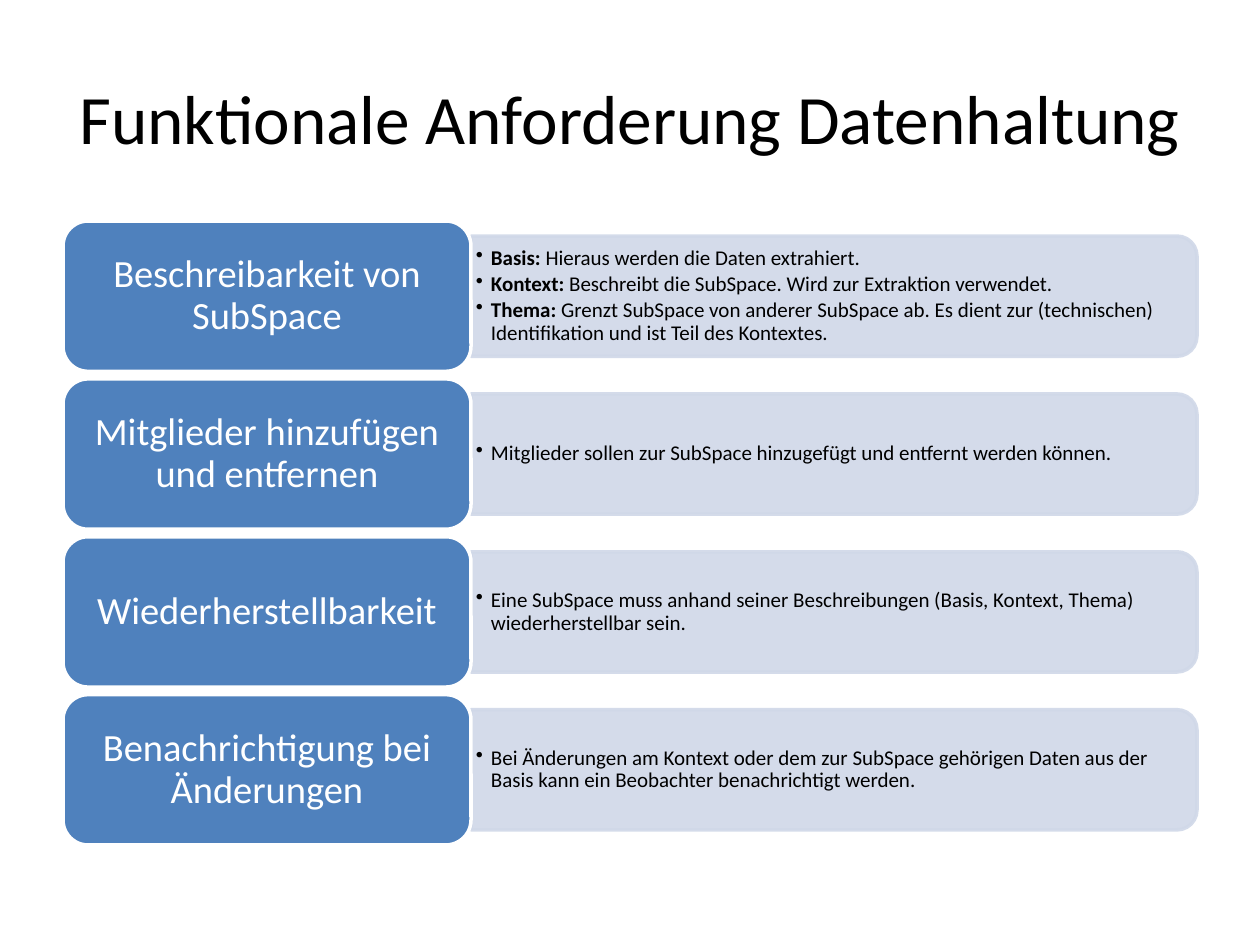
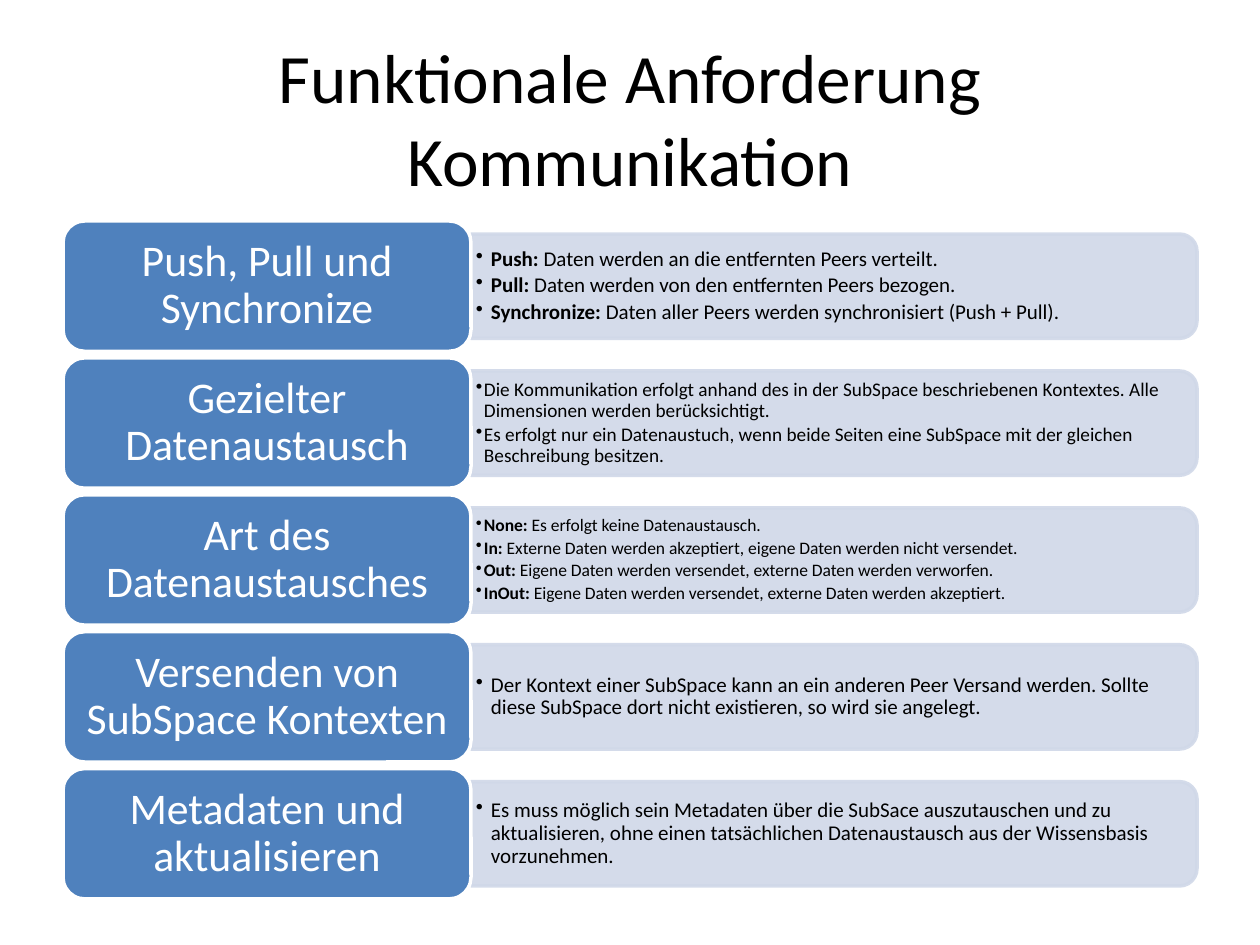
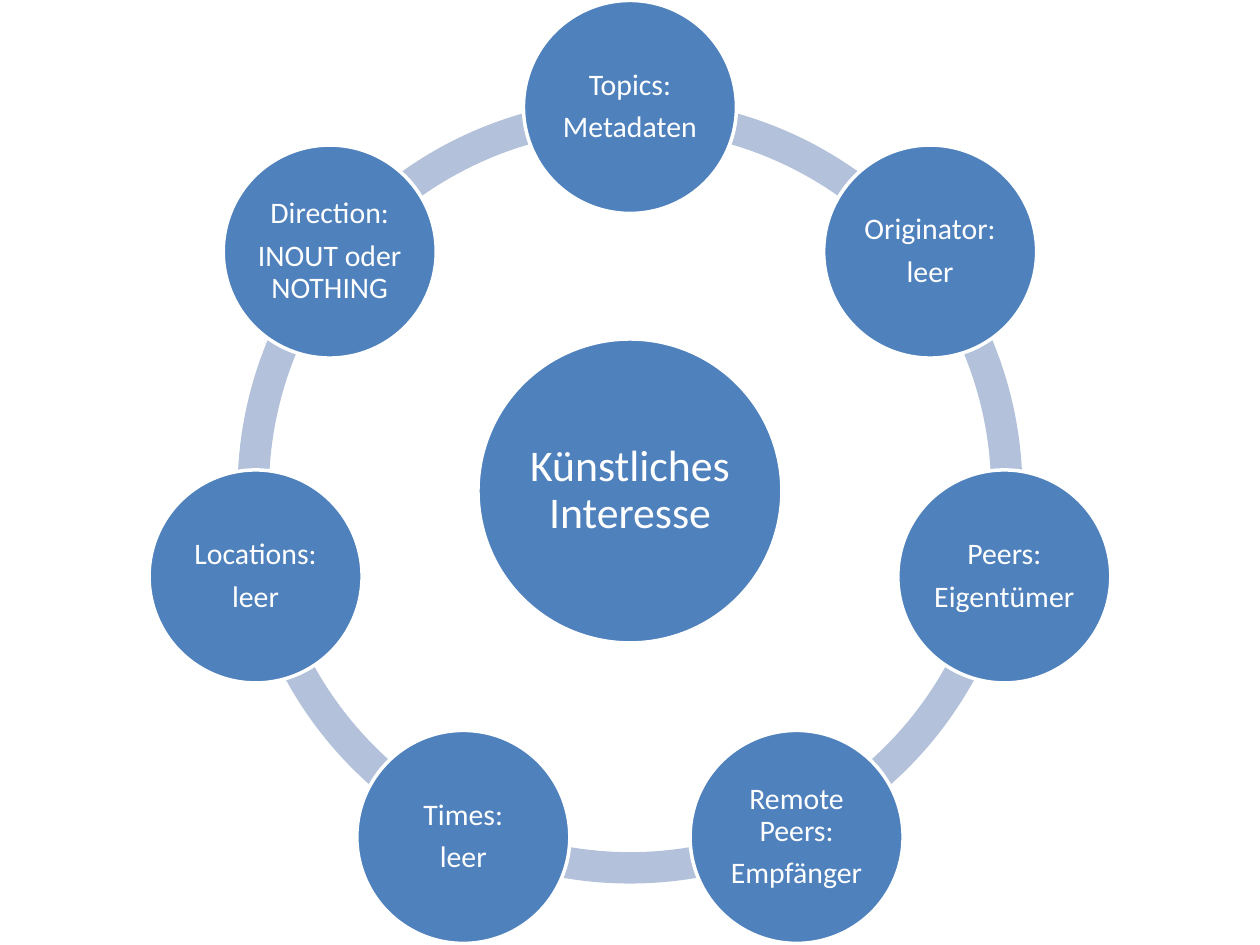
import math
from dataclasses import dataclass

import lxml.etree
import pptx
import pptx.dml.color
import pptx.enum.shapes
import pptx.enum.text
import pptx.oxml.ns
import pptx.util

SHAPE = pptx.enum.shapes.MSO_SHAPE
ALIGN = pptx.enum.text.PP_ALIGN
MIDDLE = pptx.enum.text.MSO_ANCHOR.MIDDLE
qn = pptx.oxml.ns.qn


@dataclass(frozen=True)
class Theme:
    font: str = "Calibri"
    ink: str = "000000"
    white: str = "FFFFFF"
    blue: str = "4F81BD"
    pale: str = "D0D8E8"
    ring: str = "B3C1DB"
    title: float = 39.6
    hub: int = 25
    node: int = 17
    edge: int = 2


THEME = Theme()
WIDE, HIGH = 1260, 945      # slide size in pixels
LEFT, TOP = 63, 221         # corner of the row lists
LABEL, PANEL = 408, 726     # widths of the two columns

# Rows: label, type size, indent, bullets as (bold head, plain rest)
DATA_ROWS = [
    ("Beschreibarkeit von SubSpace", 12, 15, [
        ("Basis:", " Hieraus werden die Daten extrahiert."),
        ("Kontext:", " Beschreibt die SubSpace. Wird zur Extraktion verwendet."),
        ("Thema:", " Grenzt SubSpace von anderer SubSpace ab. Es dient zur "
         "(technischen) Identifikation und ist Teil des Kontextes.")]),
    ("Mitglieder hinzufügen und entfernen", 12, 15, [
        ("", "Mitglieder sollen zur SubSpace hinzugefügt und entfernt "
         "werden können.")]),
    ("Wiederherstellbarkeit", 12, 15, [
        ("", "Eine SubSpace muss anhand seiner Beschreibungen (Basis, "
         "Kontext, Thema) wiederherstellbar sein.")]),
    ("Benachrichtigung bei Änderungen", 12, 15, [
        ("", "Bei Änderungen am Kontext oder dem zur SubSpace gehörigen "
         "Daten aus der Basis kann ein Beobachter benachrichtigt werden.")]),
]
TALK_ROWS = [
    ("Push, Pull und Synchronize", 12, 15, [
        ("Push:", " Daten werden an die entfernten Peers verteilt."),
        ("Pull:", " Daten werden von den entfernten Peers bezogen."),
        ("Synchronize:", " Daten aller Peers werden synchronisiert "
         "(Push + Pull).")]),
    ("Gezielter Datenaustausch", 11, 8, [
        ("", "Die Kommunikation erfolgt anhand des in der SubSpace "
         "beschriebenen Kontextes. Alle Dimensionen werden berücksichtigt."),
        ("", "Es erfolgt nur ein Datenaustuch, wenn beide Seiten eine "
         "SubSpace mit der gleichen Beschreibung besitzen.")]),
    ("Art des Datenaustausches", 10, 8, [
        ("None:", " Es erfolgt keine Datenaustausch."),
        ("In:", " Externe Daten werden akzeptiert, eigene Daten werden "
         "nicht versendet."),
        ("Out:", " Eigene Daten werden versendet, externe Daten werden "
         "verworfen."),
        ("InOut:", " Eigene Daten werden versendet, externe Daten werden "
         "akzeptiert.")]),
    ("Versenden von SubSpace Kontexten", 12, 15, [
        ("", "Der Kontext einer SubSpace kann an ein anderen Peer Versand "
         "werden. Sollte diese SubSpace dort nicht existieren, so wird sie "
         "angelegt.")]),
    ("Metadaten und aktualisieren", 12, 15, [
        ("", "Es muss möglich sein Metadaten über die SubSace auszutauschen "
         "und zu aktualisieren, ohne einen tatsächlichen Datenaustausch aus "
         "der Wissensbasis vorzunehmen.")]),
]
# Nodes clockwise from the top
NODES = [
    ("Topics:", "Metadaten"),
    ("Originator:", "leer"),
    ("Peers:", "Eigentümer"),
    ("Remote Peers:", "Empfänger"),
    ("Times:", "leer"),
    ("Locations:", "leer"),
    ("Direction:", "INOUT oder NOTHING"),
]


def px(num):
    """Turn pixels into EMU, 126 to the inch."""
    return pptx.util.Emu(round(num * 914400 / 126))


def rgb(code):
    return pptx.dml.color.RGBColor.from_string(code)


def write(shape, paras, *, size, color=THEME.white, align=ALIGN.CENTER,
          pad=(12, 6), lead=0.9, after=0, indent=0):
    """Fill a shape with paragraphs of (bold head, plain rest)."""
    frame = shape.text_frame
    frame.word_wrap = True
    frame.vertical_anchor = MIDDLE
    frame.margin_left = frame.margin_right = px(pad[0])
    frame.margin_top = frame.margin_bottom = px(pad[1])
    for num, parts in enumerate(paras):
        para = frame.add_paragraph() if num else frame.paragraphs[0]
        para.alignment = align
        para.line_spacing = lead
        para.space_after = pptx.util.Pt(after)
        for bold, text in zip((True, False), parts):
            if text:
                run = para.add_run()
                run.text = text
                run.font.name = THEME.font
                run.font.size = pptx.util.Pt(size)
                run.font.bold = bold
                run.font.color.rgb = rgb(color)
        if indent:
            bullet(para, indent)


def bullet(para, indent):
    props = para._p.get_or_add_pPr()
    props.set("marL", str(px(indent)))
    props.set("indent", str(-px(indent)))
    lxml.etree.SubElement(props, qn("a:buChar")).set("char", "•")


def draw(slide, kind, box, fill, line=None):
    """Add a flat preset shape."""
    shape = slide.shapes.add_shape(kind, *map(px, box))
    shape.shadow.inherit = False
    shape.fill.solid()
    shape.fill.fore_color.rgb = rgb(fill)
    if line:
        shape.line.color.rgb = rgb(line)
        shape.line.width = pptx.util.Pt(THEME.edge)
    else:
        shape.line.fill.background()
    return shape


def fade(shape, share):
    """Make fill and line partly see-through."""
    for tag in shape.element.spPr.iter(qn("a:srgbClr")):
        lxml.etree.SubElement(tag, qn("a:alpha")).set("val", str(share * 1000))


def title(slide, text):
    box = slide.shapes.add_textbox(px(LEFT), px(38), px(1134), px(158))
    write(box, [("", text)], size=THEME.title, color=THEME.ink, lead=1)


def panel(slide, left, mid, high, size, indent, items):
    """Pale panel, a turned shape rounded at its right end, with bullets."""
    back = draw(slide, SHAPE.ROUND_2_SAME_RECTANGLE,
                (left + (PANEL - high) / 2, mid - PANEL / 2, high, PANEL),
                THEME.pale, THEME.pale)
    back.rotation = 90
    fade(back, 90)
    inset = high * 0.05
    box = slide.shapes.add_textbox(px(left), px(mid - high / 2 + inset),
                                   px(PANEL - inset), px(high - 2 * inset))
    write(box, items, size=size, color=THEME.ink, align=ALIGN.LEFT,
          pad=(5, 3), after=2, indent=indent)


def rows(slide, data, total, size):
    """Stack label and panel rows; a gap is 5 % of a row."""
    count = len(data)
    high = total / (count + 0.05 * (count - 1))
    for num, (name, small, indent, items) in enumerate(data):
        top = TOP + num * high * 1.05
        panel(slide, LEFT + LABEL, top + high / 2, high * 0.8,
              small, indent, items)
        label = draw(slide, SHAPE.ROUNDED_RECTANGLE,
                     (LEFT, top, LABEL, high), THEME.blue, THEME.white)
        write(label, [("", name)], size=size)


def disc(slide, mid, wide, lines, size):
    """Blue circle around a centre point."""
    box = (mid[0] - wide / 2, mid[1] - wide / 2, wide, wide)
    shape = draw(slide, SHAPE.OVAL, box, THEME.blue, THEME.white)
    write(shape, [("", line) for line in lines], size=size, pad=(3, 3),
          after=6)


def wheel(slide):
    """Hub, ring of arcs and the nodes on it."""
    mid, reach, ring = (630, 491), 384, 785
    step = 360 / len(NODES)
    turns = [270 + step * num for num in range(len(NODES))]
    for turn in reversed(turns):
        arc = draw(slide, SHAPE.BLOCK_ARC,
                   (mid[0] - ring / 2, mid[1] - ring / 2, ring, ring),
                   THEME.ring)
        # An angle is stored as 0.6 per degree
        arc.adjustments[0] = turn % 360 * 0.6
        arc.adjustments[1] = (turn + step) % 360 * 0.6
        arc.adjustments[2] = 0.04
    disc(slide, mid, 304, ["Künstliches Interesse"], THEME.hub)
    for turn, lines in zip(turns, NODES):
        angle = math.radians(turn)
        spot = (mid[0] + reach * math.cos(angle),
                mid[1] + reach * math.sin(angle))
        disc(slide, spot, 213, lines, THEME.node)


def main():
    deck = pptx.Presentation()
    deck.slide_width, deck.slide_height = px(WIDE), px(HIGH)
    blank = deck.slide_layouts[6]

    # Row lists
    for head, data, total, size in (
            ("Funktionale Anforderung Datenhaltung", DATA_ROWS, 624, 22),
            ("Funktionale Anforderung Kommunikation", TALK_ROWS, 678, 25)):
        slide = deck.slides.add_slide(blank)
        title(slide, head)
        rows(slide, data, total, size)

    # Wheel
    wheel(deck.slides.add_slide(blank))
    deck.save("out.pptx")


main()
